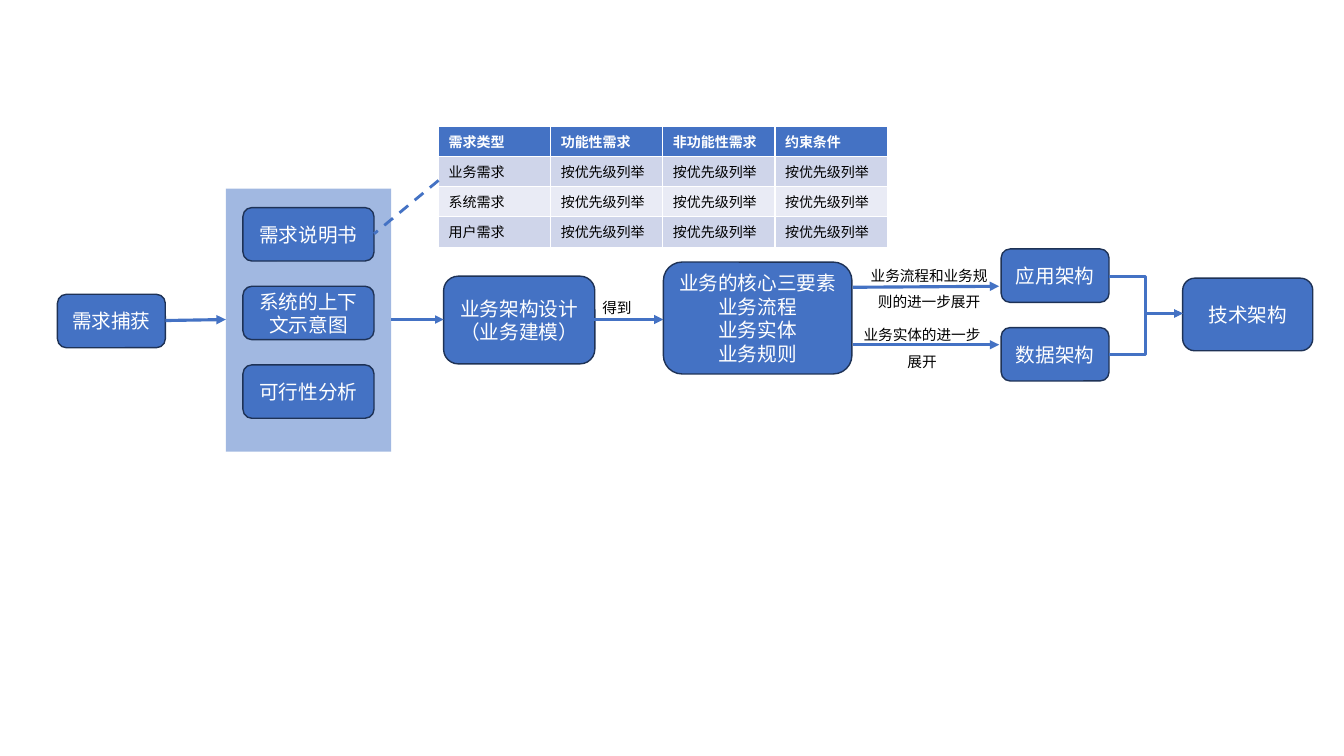
from lxml.etree import SubElement
from pptx import Presentation
from pptx.dml.color import RGBColor
from pptx.enum.dml import MSO_LINE
from pptx.enum.shapes import MSO_CONNECTOR, MSO_SHAPE
from pptx.enum.text import MSO_ANCHOR, PP_ALIGN
from pptx.oxml.ns import qn
from pptx.util import Inches, Pt

# Content
COLORS = {"blue": "4472C4", "edge": "1E3256", "white": "FFFFFF",
          "black": "000000", "odd": "CFD5EA", "even": "E9EBF5"}
FONT = "Noto Sans CJK SC"
LIST = "按优先级列举"
HEAD = ["需求类型", "功能性需求", "非功能性需求", "约束条件"]
NEEDS = ["业务需求", "系统需求", "用户需求"]
PAPERS = ["需求说明书", "系统的上下文示意图", "可行性分析"]
ARCHS = ["应用架构", "数据架构"]

# Layout in inches: main axis, step between stacked boxes, box sizes
WIDE, HIGH = 13.33, 7.5
AXIS, STEP, BOX = 3.17, 0.78, 0.53
GRID = (4.35, 1.25, 4.45, 1.2)
PANEL = (2.24, 1.87, 1.64, 2.61)
PAPER = (2.41, 2.06, 1.3)
ARCH = (9.93, 2.47, 1.07)
BOXES = {  # left, top, width, height, lines
    "start": (0.57, 2.92, 1.07, BOX, ["需求捕获"]),
    "model": (4.4, 2.74, 1.5, 0.87, ["业务架构设计", "（业务建模）"]),
    "core": (6.58, 2.6, 1.87, 1.11,
             ["业务的核心三要素", "业务流程", "业务实体", "业务规则"]),
    "tech": (11.73, 2.76, 1.29, 0.72, ["技术架构"]),
}
for (left, top, wide), names in ((PAPER, PAPERS), (ARCH, ARCHS)):
    for i, name in enumerate(names):
        BOXES[name] = (left, top + i * STEP, wide, BOX, [name])
LABELS = [
    (8.49, 2.51, 1.45, 1.13, "业务流程和业务规则的进一步展开"),
    (8.42, 3.1, 1.45, 0.6, "业务实体的进一步展开"),
    (5.66, 2.83, 0.92, 0.34, "得到"),
]
MID = 3.11  # height at which both branches meet
LINES = [  # from, to, format
    ((1.64, 3.18), (2.24, AXIS), {}),
    ((3.88, AXIS), (4.4, AXIS), {"bent": True}),
    ((5.87, AXIS), (6.58, AXIS), {}),
    ((8.46, 2.85), (9.91, 2.84), {}),
    ((8.46, 3.42), (9.91, 3.42), {}),
    ((11, 2.74), (11.73, MID), {"bent": True}),
    ((11, 3.52), (11.73, MID), {"bent": True}),
    ((4.35, 1.79), (3.71, 2.32), {"dash": True}),
]

deck = Presentation()
deck.slide_width, deck.slide_height = Inches(WIDE), Inches(HIGH)
slide = deck.slides.add_slide(deck.slide_layouts[6])
shapes = slide.shapes


def color(name):
    return RGBColor.from_string(COLORS[name])


def inch(*sizes):
    return [Inches(size) for size in sizes]


def write(frame, lines, size=14, ink="white", bold=False,
          align=PP_ALIGN.CENTER, space=None):
    frame.word_wrap = True
    for i, line in enumerate(lines):
        para = frame.add_paragraph() if i else frame.paragraphs[0]
        para.alignment = align
        if space:
            para.line_spacing = space
        run = para.add_run()
        run.text = line
        font = run.font
        font.size, font.bold, font.name = Pt(size), bold, FONT
        font.color.rgb = color(ink)
        SubElement(font._element, qn("a:ea"), typeface=FONT)


def draw_box(left, top, wide, high, lines):
    box = shapes.add_shape(MSO_SHAPE.ROUNDED_RECTANGLE,
                           *inch(left, top, wide, high))
    box.shadow.inherit = False
    box.fill.solid()
    box.fill.fore_color.rgb = color("blue")
    box.line.color.rgb = color("edge")
    box.line.width = Pt(1)
    box.text_frame.vertical_anchor = MSO_ANCHOR.MIDDLE
    write(box.text_frame, lines)


def draw_line(start, end, bent=False, dash=False):
    kind = MSO_CONNECTOR.ELBOW if bent else MSO_CONNECTOR.STRAIGHT
    link = shapes.add_connector(kind, *inch(*start, *end))
    link.line.color.rgb = color("blue")
    link.line.width = Pt(2 if bent or dash else 2.25)
    if dash:
        link.line.dash_style = MSO_LINE.DASH
    else:
        SubElement(link.line._get_or_add_ln(), qn("a:tailEnd"), type="triangle")
    SubElement(link._element.spPr, qn("a:effectLst"))


# Half-transparent panel behind the papers
panel = shapes.add_shape(MSO_SHAPE.RECTANGLE, *inch(*PANEL))
panel.shadow.inherit = False
panel.fill.solid()
panel.fill.fore_color.rgb = color("blue")
panel.line.fill.background()
tint = panel._element.spPr.find(qn("a:solidFill"))[0]
SubElement(tint, qn("a:alpha"), val="50000")

# Table of needs
rows = [HEAD] + [[need] + [LIST] * (len(HEAD) - 1) for need in NEEDS]
table = shapes.add_table(len(rows), len(HEAD), *inch(*GRID)).table
for r, row in enumerate(rows):
    fill = "blue" if r == 0 else "odd" if r % 2 else "even"
    for c, text in enumerate(row):
        cell = table.cell(r, c)
        cell.fill.solid()
        cell.fill.fore_color.rgb = color(fill)
        write(cell.text_frame, [text], size=10, bold=r == 0,
              ink="black" if r else "white", align=PP_ALIGN.LEFT)

# Boxes, links and their labels
for box in BOXES.values():
    draw_box(*box)
for start, end, style in LINES:
    draw_line(start, end, **style)
for *place, text in LABELS:
    label = shapes.add_textbox(*inch(*place))
    write(label.text_frame, [text], size=10.5, ink="black", space=1.5)

deck.save("out.pptx")
